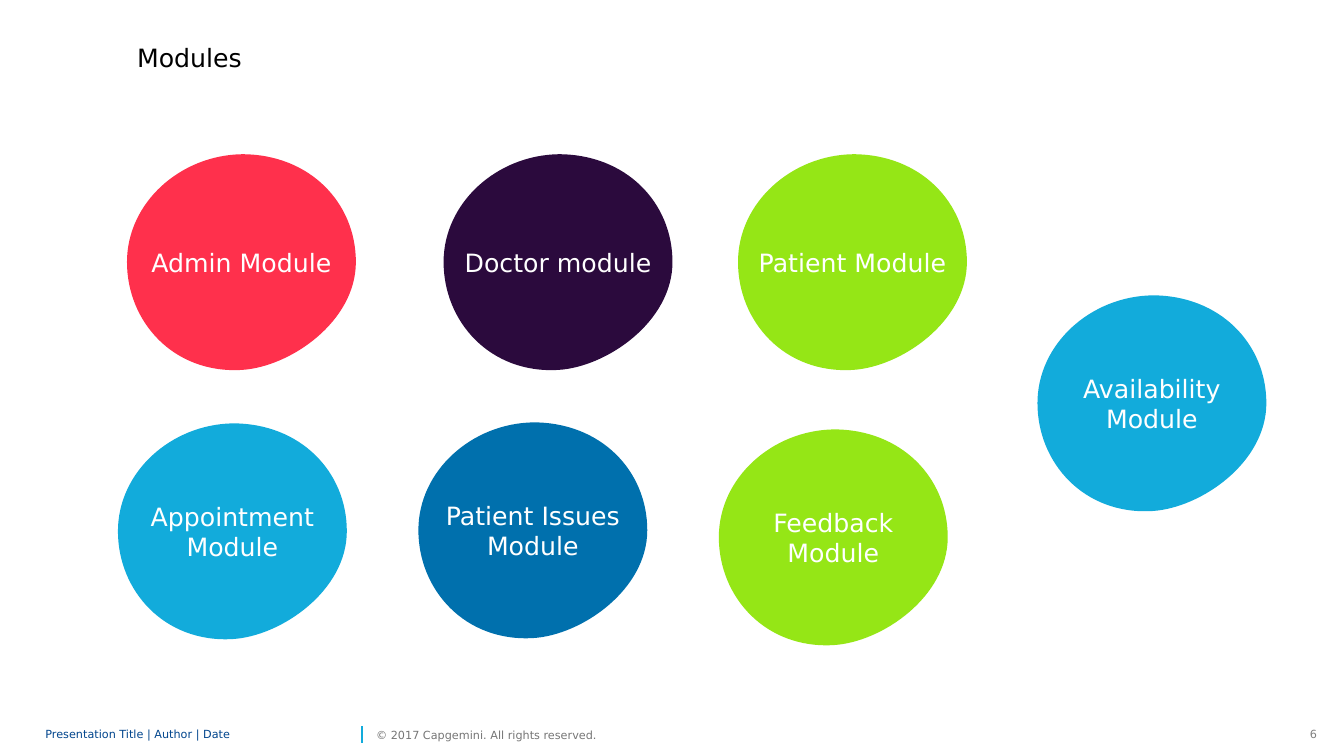
from lxml import etree
from pptx import Presentation
from pptx.dml.color import RGBColor
from pptx.enum.shapes import MSO_CONNECTOR
from pptx.enum.text import MSO_ANCHOR, MSO_AUTO_SIZE, PP_ALIGN
from pptx.oxml.ns import qn
from pptx.util import Inches, Pt

LEFT, CENTER, RIGHT = PP_ALIGN.LEFT, PP_ALIGN.CENTER, PP_ALIGN.RIGHT
TOP, MIDDLE = MSO_ANCHOR.TOP, MSO_ANCHOR.MIDDLE
NO_AUTOSIZE = MSO_AUTO_SIZE.NONE
STRAIGHT = MSO_CONNECTOR.STRAIGHT
TITLE_ONLY = 5
FONT = "DejaVu Sans"
CYAN, LIME, WHITE = "12ABDB", "95E616", "FFFFFF"

# Blob outline in hundredths of an inch: a start point, then Bezier curves
BLOB_WIDTH, BLOB_HEIGHT = 227, 215
BLOB_START = (0, 107)
BLOB_CURVES = [
    ((0, 48), (53, 1), (114, 0)),
    ((181, 0), (227, 48), (227, 107)),
    ((227, 166), (162, 211), (114, 214)),
    ((46, 218), (0, 166), BLOB_START),
]

# Label, left, top, fill
MODULES = [
    ("Admin Module", 1.26, 1.53, "FF304C"),
    ("Doctor module", 4.4, 1.53, "2B0A3D"),
    ("Patient Module", 7.32, 1.53, LIME),
    ("Appointment Module", 1.17, 4.2, CYAN),
    ("Patient Issues Module", 4.15, 4.19, "0070AD"),
    ("Feedback Module", 7.13, 4.26, LIME),
    ("Availability Module", 10.29, 2.93, CYAN),
]


def color(hex_string):
    return RGBColor.from_string(hex_string)


def write_text(shape, text, size, hex_string, align=LEFT, anchor=MIDDLE,
               inset=None, wrap=True, line_spacing=1.0):
    frame = shape.text_frame
    frame.word_wrap = wrap
    frame.auto_size = NO_AUTOSIZE
    frame.vertical_anchor = anchor
    if inset is not None:
        frame.margin_left = frame.margin_right = Inches(inset)
        frame.margin_top = frame.margin_bottom = Inches(inset)
    paragraph = frame.paragraphs[0]
    paragraph.alignment = align
    paragraph.line_spacing = line_spacing
    run = paragraph.add_run()
    run.text = text
    run.font.name = FONT
    run.font.size = Pt(size)
    run.font.color.rgb = color(hex_string)


def add_outline_step(outline, tag, points=()):
    step = etree.SubElement(outline, qn(tag))
    for x, y in points:
        etree.SubElement(step, qn("a:pt"), x=str(x), y=str(y))


def add_blob(slide, left, top):
    """Build a freeform of the blob's size, then give it the curved outline."""
    builder = slide.shapes.build_freeform(0, 0, scale=Inches(0.01))
    builder.add_line_segments([(BLOB_WIDTH, 0), (BLOB_WIDTH, BLOB_HEIGHT)])
    blob = builder.convert_to_shape(Inches(left), Inches(top))
    outline = blob.element.find(".//" + qn("a:path"))
    for step in list(outline):
        outline.remove(step)
    add_outline_step(outline, "a:moveTo", [BLOB_START])
    for curve in BLOB_CURVES:
        add_outline_step(outline, "a:cubicBezTo", curve)
    add_outline_step(outline, "a:close")
    return blob


def add_module(slide, label, left, top, fill):
    blob = add_blob(slide, left, top)
    blob.shadow.inherit = False
    blob.fill.solid()
    blob.fill.fore_color.rgb = color(fill)
    blob.line.fill.background()
    write_text(blob, label, 18, WHITE, CENTER)


def add_title(slide, text, left, top, width, height):
    title = slide.shapes.title
    title.left, title.top = Inches(left), Inches(top)
    title.width, title.height = Inches(width), Inches(height)
    write_text(title, text, 18, "000000", anchor=TOP)


def add_footer(slide, left, top, width, height):
    def footer_box(offset, box_width):
        return slide.shapes.add_textbox(Inches(left + offset), Inches(top),
                                        Inches(box_width), Inches(height))

    # Presentation details and copyright
    write_text(footer_box(0, 3.09), "Presentation Title | Author | Date", 8,
               "00458D", inset=0, line_spacing=0.85)
    write_text(footer_box(3.28, 2.43), "© 2017 Capgemini. All rights reserved.", 8,
               "767676", inset=0, wrap=False)

    # Divider
    divider_x = Inches(left + 3.14)
    divider = slide.shapes.add_connector(STRAIGHT, divider_x, Inches(top + 0.2),
                                         divider_x, Inches(top + 0.03))
    divider.line.color.rgb = color(CYAN)
    divider.line.width = Pt(1)
    properties = divider.element.find(qn("p:spPr"))
    etree.SubElement(properties, qn("a:effectLst"))

    # Slide number
    number_width = 0.27
    write_text(footer_box(width - number_width, number_width), "6", 8, "808080",
               RIGHT, TOP, wrap=False)


def main():
    presentation = Presentation()
    presentation.slide_width = Inches(13.33)
    presentation.slide_height = Inches(7.5)
    slide = presentation.slides.add_slide(presentation.slide_layouts[TITLE_ONLY])

    add_title(slide, "Modules", 1.26, 0.37, 6.27, 0.4)
    for module in MODULES:
        add_module(slide, *module)
    add_footer(slide, 0.45, 7.17, 12.71, 0.24)

    presentation.save("out.pptx")


if __name__ == "__main__":
    main()
